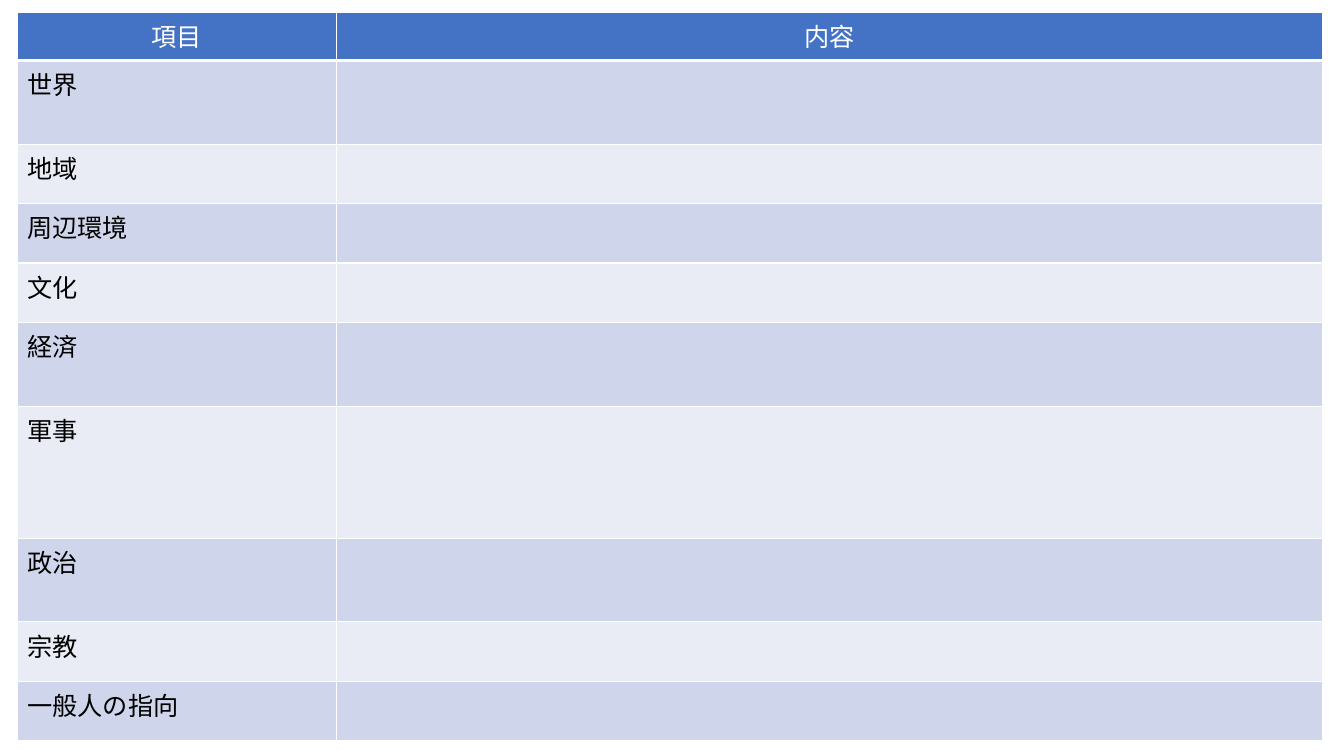
from lxml.etree import SubElement
from pptx import Presentation
from pptx.dml.color import RGBColor
from pptx.enum.text import PP_ALIGN
from pptx.oxml.ns import qn
from pptx.util import Inches, Pt

HEADINGS = ["項目", "内容"]
# Topic and row height in inches
TOPICS = [
    ("世界", 0.83),
    ("地域", 0.59),
    ("周辺環境", 0.59),
    ("文化", 0.59),
    ("経済", 0.83),
    ("軍事", 1.31),
    ("政治", 0.83),
    ("宗教", 0.59),
    ("一般人の指向", 0.59),
]
COLUMN_WIDTHS = [3.17, 9.78]
HEADER_HEIGHT = 0.48


def color(value):
    return RGBColor.from_string(value)


class SlideBuilder:
    font_name = "Noto Sans CJK JP"
    font_size = 18
    white = "FFFFFF"
    black = "000000"
    header_fill = "4472C4"
    band_fills = ["CFD5EA", "E9EBF5"]

    def __init__(self, page):
        self.page = page

    def table(self, left, top, widths, heights):
        frame = self.page.shapes.add_table(
            len(heights), len(widths), Inches(left), Inches(top),
            Inches(sum(widths)), Inches(sum(heights)))
        table = frame.table
        table.first_row = table.horz_banding = False
        for column, width in zip(table.columns, widths):
            column.width = Inches(width)
        for row, height in zip(table.rows, heights):
            row.height = Inches(height)
        return table

    def borders(self, cell, bottom, top):
        properties = cell._tc.get_or_add_tcPr()
        sides = [("lnL", 1), ("lnR", 1), ("lnT", top), ("lnB", bottom)]
        for position, (side, width) in enumerate(sides):
            line = properties.makeelement(qn(f"a:{side}"), {"w": str(Pt(width))})
            fill = SubElement(line, qn("a:solidFill"))
            SubElement(fill, qn("a:srgbClr"), val=self.white)
            properties.insert(position, line)

    def cell(self, cell, text, fill, text_color, align, top=1, bottom=1):
        cell.fill.solid()
        cell.fill.fore_color.rgb = color(fill)
        self.borders(cell, bottom, top)
        if not text:
            return
        cell.text = text
        para = cell.text_frame.paragraphs[0]
        para.alignment = align
        font = para.font
        font.name = self.font_name
        font.size = Pt(self.font_size)
        font.bold = False
        font.color.rgb = color(text_color)
        # East Asian typeface
        SubElement(font._element, qn("a:ea"), typeface=self.font_name)

    def header_row(self, table, headings):
        for column, heading in enumerate(headings):
            self.cell(table.cell(0, column), heading, self.header_fill,
                      self.white, PP_ALIGN.CENTER, bottom=3)

    def topic_row(self, table, row, topic):
        fill = self.band_fills[(row - 1) % 2]
        for column, text in enumerate([topic, ""]):
            self.cell(table.cell(row, column), text, fill, self.black,
                      PP_ALIGN.LEFT, top=3 if row == 1 else 1)


def main():
    deck = Presentation()
    deck.slide_width, deck.slide_height = Inches(13.33), Inches(7.5)
    builder = SlideBuilder(deck.slides.add_slide(deck.slide_layouts[6]))

    # Table grid
    heights = [HEADER_HEIGHT] + [height for _, height in TOPICS]
    table = builder.table(0.17, 0.12, COLUMN_WIDTHS, heights)

    # Header and topics
    builder.header_row(table, HEADINGS)
    for row, (topic, _) in enumerate(TOPICS, start=1):
        builder.topic_row(table, row, topic)

    deck.save("out.pptx")


if __name__ == "__main__":
    main()
